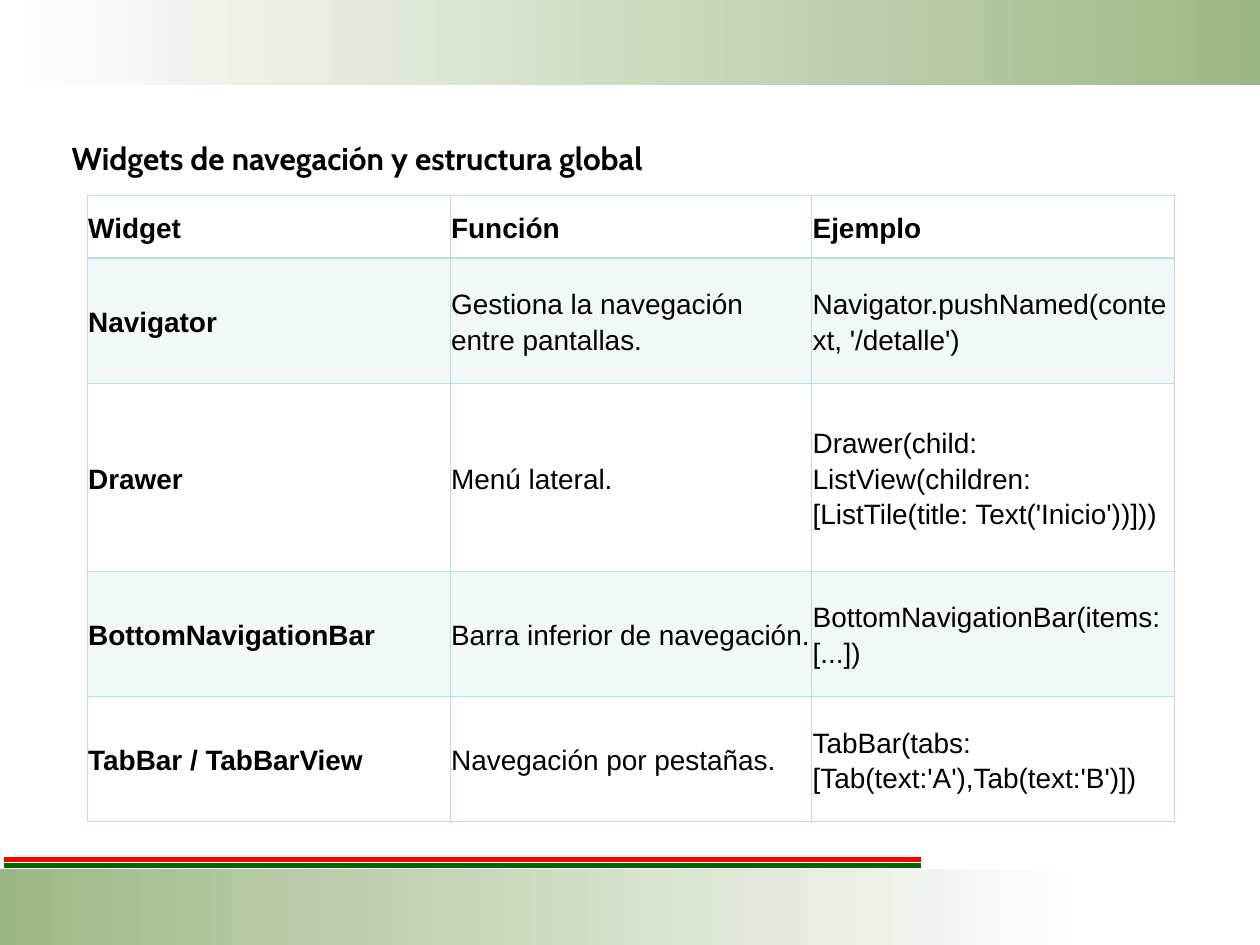
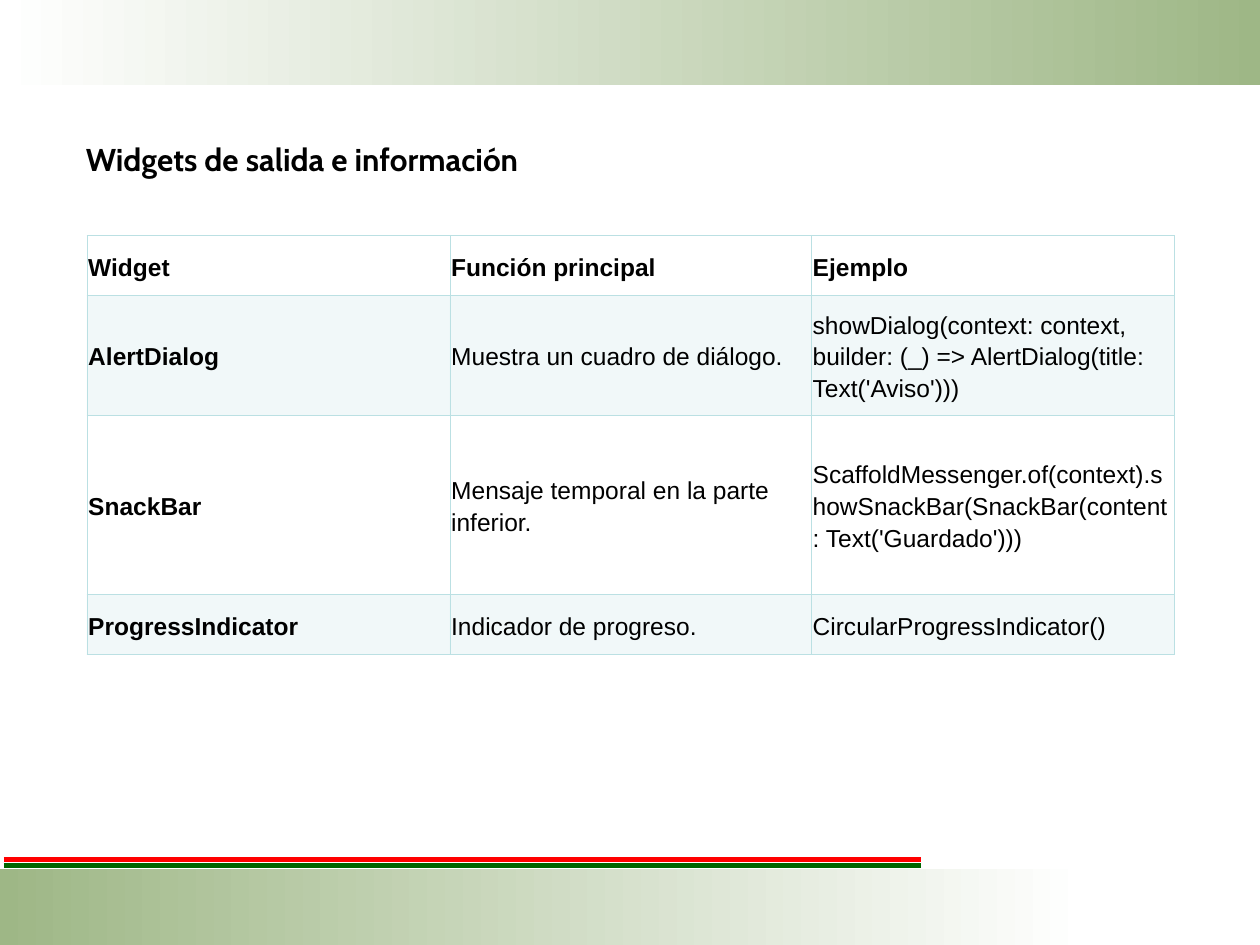
from dataclasses import dataclass

from lxml import etree
from pptx import Presentation
from pptx.dml.color import RGBColor
from pptx.enum import shapes, text
from pptx.oxml import ns
from pptx.util import Pt

# Content: each row is (height in row units, cell texts)
PAGES = [
    {
        "title": "Widgets de navegación y estructura global",
        "title_box": (33.8, 75.6, 360, 50.4),
        "table_top": 111.6,
        "row_unit": 35.8,
        "size": 16,
        "rows": [
            (1, ("Widget", "Función", "Ejemplo")),
            (2, ("Navigator", "Gestiona la navegación entre pantallas.",
                 "Navigator.pushNamed(context, '/detalle')")),
            (3, ("Drawer", "Menú lateral.",
                 "Drawer(child: ListView(children:[ListTile(title: Text('Inicio'))]))")),
            (2, ("BottomNavigationBar", "Barra inferior de navegación.",
                 "BottomNavigationBar(items:[...])")),
            (2, ("TabBar / TabBarView", "Navegación por pestañas.",
                 "TabBar(tabs:[Tab(text:'A'),Tab(text:'B')])")),
        ],
    },
    {
        "title": "Widgets de salida e información",
        "title_box": (41.8, 76.3, 360, 28.8),
        "table_top": 134.6,
        "row_unit": 34.2,
        "size": 14,
        "rows": [
            (1, ("Widget", "Función principal", "Ejemplo")),
            (2, ("AlertDialog", "Muestra un cuadro de diálogo.",
                 "showDialog(context: context, builder: (_) => "
                 "AlertDialog(title: Text('Aviso')))")),
            (3, ("SnackBar", "Mensaje temporal en la parte inferior.",
                 "ScaffoldMessenger.of(context).showSnackBar("
                 "SnackBar(content: Text('Guardado')))")),
            (1, ("ProgressIndicator", "Indicador de progreso.",
                 "CircularProgressIndicator()")),
        ],
    },
]


@dataclass(frozen=True)
class Theme:
    ink: str = "000000"
    white: str = "FFFFFF"
    sage: str = "9EB786"
    red: str = "FF0000"
    green: str = "006600"
    aqua: str = "BBE0E3"
    title_font: str = "Cabin"
    body_font: str = "Arial"
    title_size: int = 18
    thin: float = 0.45
    thick: float = 0.96


THEME = Theme()
PAGE_SIZE = (720, 540)
TABLE_LEFT = 49.7
COLUMNS = (207.4, 206.6, 207.4)

# Shared bands (left, top, width, height, left colour, right colour) and rules
BANDS = [
    (0, 0, 720, 48.6, THEME.white, THEME.sage),
    (0, 496.8, 620.6, 43.2, THEME.sage, THEME.white),
]
RULES = [(491, THEME.red), (494.6, THEME.green)]
RULE_SPAN = (2.2, 526.3)


def style_font(para, name, size, bold):
    for span in para.runs:
        span.font.name = name
        span.font.size = Pt(size)
        span.font.bold = bold
        span.font.color.rgb = RGBColor.from_string(THEME.ink)


def add_master_art(deck, page):
    """Draw the bands and rules once, then hand them to the master."""
    art = []
    for left, top, width, height, *colours in BANDS:
        band = page.shapes.add_shape(shapes.MSO_SHAPE.RECTANGLE,
                                     Pt(left), Pt(top), Pt(width), Pt(height))
        band.shadow.inherit = False
        band.line.fill.background()
        band.fill.gradient()
        band.fill.gradient_angle = 0
        for stop, colour in zip(band.fill.gradient_stops, colours):
            stop.color.rgb = RGBColor.from_string(colour)
        art.append(band)
    start, end = RULE_SPAN
    for y, colour in RULES:
        rule = page.shapes.add_connector(shapes.MSO_CONNECTOR.STRAIGHT,
                                         Pt(start), Pt(y), Pt(end), Pt(y))
        rule.line.color.rgb = RGBColor.from_string(colour)
        rule.line.width = Pt(3)
        etree.SubElement(rule.element.spPr, ns.qn("a:effectLst"))
        art.append(rule)
    tree = deck.slide_master.shapes.element
    for index, shape in enumerate(art):
        shape.element.xpath(".//p:cNvPr")[0].set("id", str(100 + index))
        tree.insert(2 + index, shape.element)


def add_title(page, words, bounds):
    title = page.shapes.title
    title.left, title.top, title.width, title.height = map(Pt, bounds)
    frame = title.text_frame
    frame.text = words
    frame.word_wrap = True
    frame.auto_size = text.MSO_AUTO_SIZE.SHAPE_TO_FIT_TEXT
    frame.vertical_anchor = text.MSO_ANCHOR.TOP
    para = frame.paragraphs[0]
    para.alignment = text.PP_ALIGN.LEFT
    style_font(para, THEME.title_font, THEME.title_size, True)


def set_borders(cell, row_index):
    """Thin lines all round, thicker between the header and first row."""
    top = THEME.thick if row_index == 1 else THEME.thin
    bottom = THEME.thick if row_index == 0 else THEME.thin
    sides = (("L", THEME.thin), ("R", THEME.thin), ("T", top), ("B", bottom))
    properties = cell._tc.get_or_add_tcPr()
    for index, (side, width) in enumerate(sides):
        line = etree.Element(ns.qn(f"a:ln{side}"), w=str(int(Pt(width))))
        fill = etree.SubElement(line, ns.qn("a:solidFill"))
        etree.SubElement(fill, ns.qn("a:srgbClr"), val=THEME.aqua)
        properties.insert(index, line)


def format_cell(cell, words, row_index, column_index, size):
    cell.text = words
    cell.vertical_anchor = text.MSO_ANCHOR.MIDDLE
    cell.margin_left = cell.margin_right = Pt(0.75)
    cell.margin_top = cell.margin_bottom = Pt(3.6)
    para = cell.text_frame.paragraphs[0]
    para.line_spacing = 1.15
    para.space_after = Pt(8)
    style_font(para, THEME.body_font, size, row_index == 0 or column_index == 0)
    if row_index % 2:
        cell.fill.solid()
        cell.fill.fore_color.rgb = RGBColor.from_string(THEME.aqua)
        colour = cell._tc.tcPr.find(".//" + ns.qn("a:srgbClr"))
        etree.SubElement(colour, ns.qn("a:alpha"), val="20000")
    else:
        cell.fill.background()
    set_borders(cell, row_index)


def add_widget_table(page, content):
    rows, unit = content["rows"], content["row_unit"]
    height = unit * sum(units for units, _ in rows)
    table = page.shapes.add_table(
        len(rows), len(COLUMNS), Pt(TABLE_LEFT), Pt(content["table_top"]),
        Pt(sum(COLUMNS)), Pt(height)).table
    table.first_row = table.horz_banding = False
    for column, width in zip(table.columns, COLUMNS):
        column.width = Pt(width)
    for r, (units, texts) in enumerate(rows):
        table.rows[r].height = Pt(unit * units)
        for c, words in enumerate(texts):
            format_cell(table.cell(r, c), words, r, c, content["size"])


def main():
    deck = Presentation()
    deck.slide_width, deck.slide_height = map(Pt, PAGE_SIZE)
    title_only = deck.slide_layouts[5]
    for index, content in enumerate(PAGES):
        page = deck.slides.add_slide(title_only)
        if index == 0:
            add_master_art(deck, page)
        add_title(page, content["title"], content["title_box"])
        add_widget_table(page, content)
    deck.save("out.pptx")


if __name__ == "__main__":
    main()
